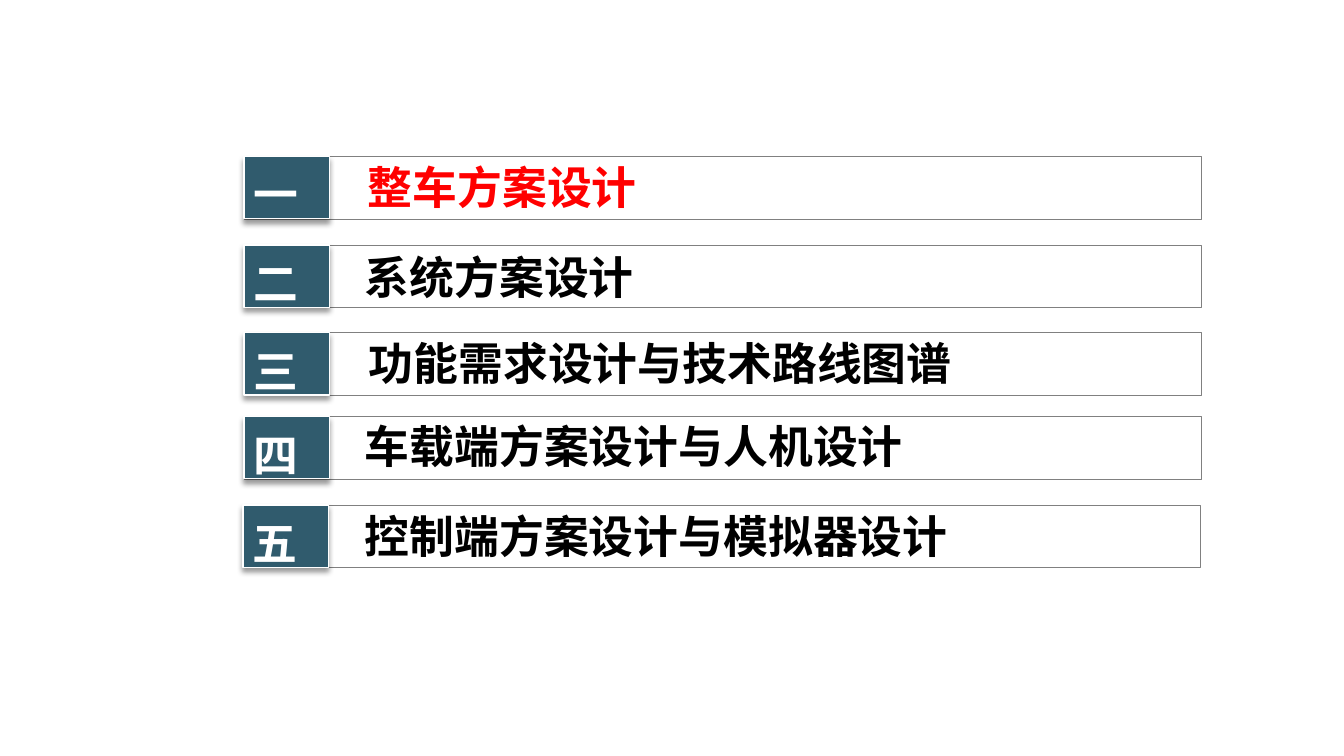
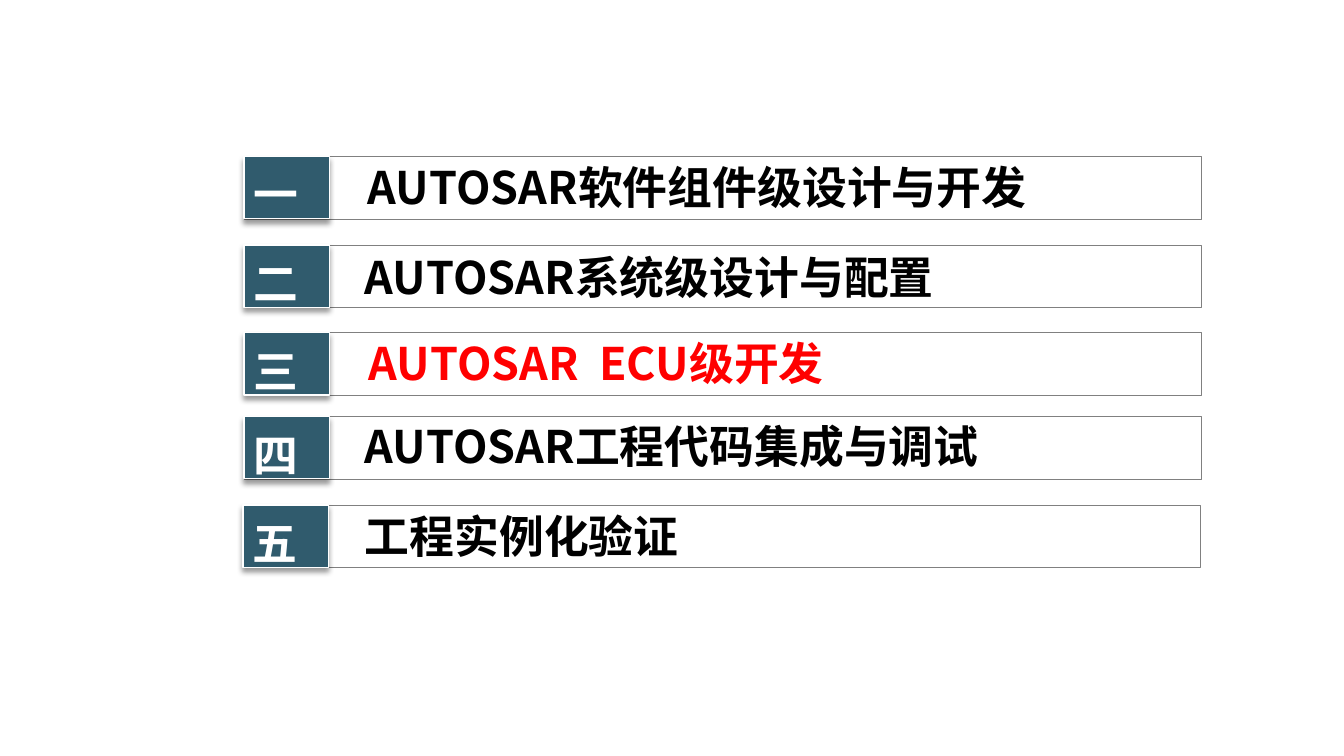
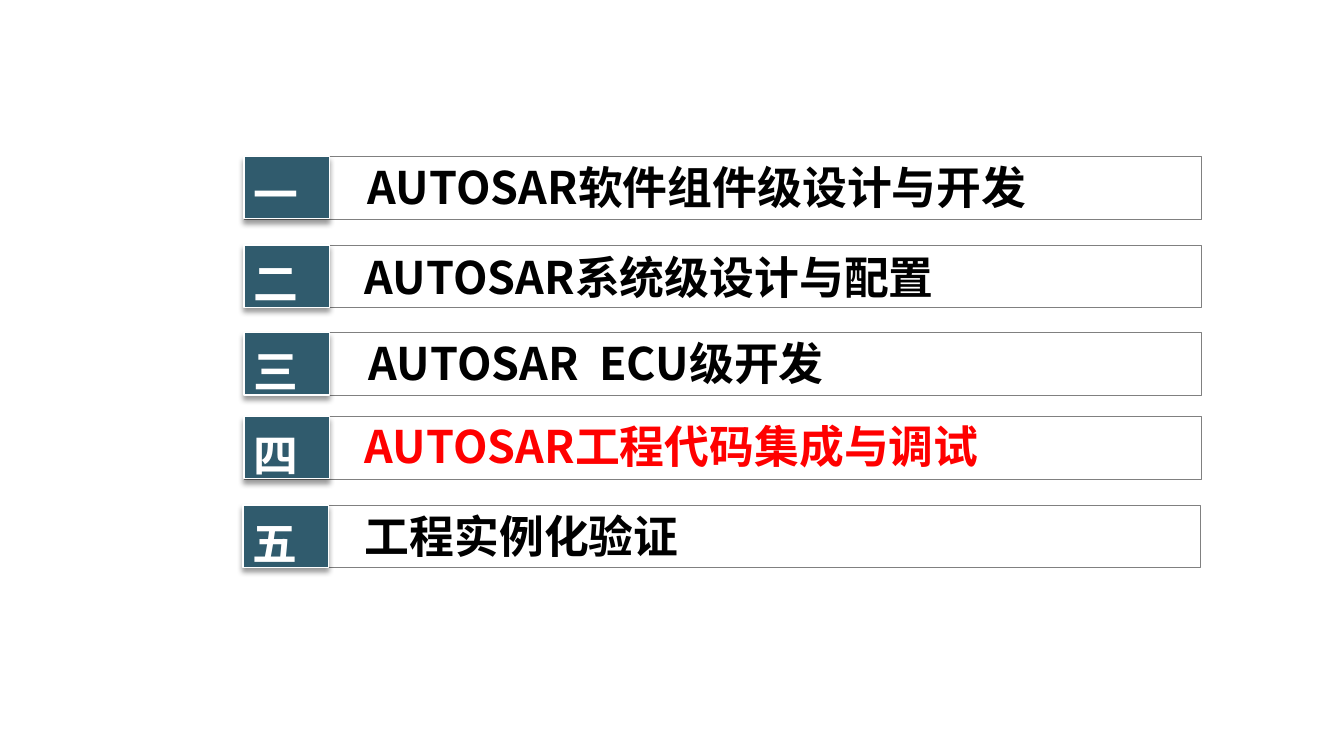
from collections import namedtuple

from lxml.etree import SubElement
from pptx import Presentation
from pptx.dml.color import RGBColor
from pptx.enum.shapes import MSO_SHAPE as Shape
from pptx.enum.text import MSO_ANCHOR as Anchor, MSO_AUTO_SIZE as AutoSize
from pptx.oxml.ns import qn
from pptx.util import Inches, Pt

TEAL = RGBColor(0x30, 0x5B, 0x6D)
GRAY = RGBColor(0x80, 0x80, 0x80)
WHITE = RGBColor(0xFF, 0xFF, 0xFF)
BLACK = RGBColor(0x00, 0x00, 0x00)
RED = RGBColor(0xFF, 0x00, 0x00)

FONT = "Noto Sans CJK SC"
TEXT_STYLE = {"name": FONT, "size": Pt(32), "bold": True}
FRAME_STYLE = {"word_wrap": True, "auto_size": AutoSize.SHAPE_TO_FIT_TEXT,
               "vertical_anchor": Anchor.TOP}

BAR_WIDTH, BAR_HEIGHT = 9.49, 0.62
TILE_WIDTH = 0.85
NUMERAL_WIDTH, NUMERAL_DROP = 0.53, 0.06
TEXT_HEIGHT = 0.64

Row = namedtuple("Row", "numeral left top label_left label_top label_width")
ROWS = [
    Row("一", 2.42, 1.55, 3.55, 1.54, 8.52),
    Row("二", 2.42, 2.43, 3.52, 2.43, 6.9),
    Row("三", 2.42, 3.3, 3.56, 3.28, 7.25),
    Row("四", 2.42, 4.13, 3.52, 4.11, 8.08),
    Row("五", 2.41, 5.01, 3.52, 5, 6.46),
]

VEHICLE_TOPICS = ["整车方案设计", "系统方案设计", "功能需求设计与技术路线图谱",
                  "车载端方案设计与人机设计", "控制端方案设计与模拟器设计"]
AUTOSAR_TOPICS = ["AUTOSAR软件组件级设计与开发", "AUTOSAR系统级设计与配置",
                  "AUTOSAR  ECU级开发", "AUTOSAR工程代码集成与调试",
                  "工程实例化验证"]
AGENDAS = [(VEHICLE_TOPICS, 0), (AUTOSAR_TOPICS, 2), (AUTOSAR_TOPICS, 3)]


def add_rectangle(group, left, top, width, line_color, line_width, fill=None):
    """Add a bar-high rectangle, hollow unless a fill is given."""
    box = group.shapes.add_shape(Shape.RECTANGLE, Inches(left), Inches(top),
                                 Inches(width), Inches(BAR_HEIGHT))
    if fill is None:
        box.fill.background()
    else:
        box.fill.solid()
        box.fill.fore_color.rgb = fill
    box.line.color.rgb = line_color
    box.line.width = Pt(line_width)
    box.shadow.inherit = False
    return box


def add_drop_shadow(box):
    """Give a shape a soft black shadow falling straight down."""
    effects = box._element.spPr.find(qn("a:effectLst"))
    shadow = SubElement(effects, qn("a:outerShdw"), blurRad=str(Pt(4)),
                        dist=str(Pt(3)), dir="5400000", rotWithShape="0")
    color = SubElement(shadow, qn("a:srgbClr"), val=str(BLACK))
    SubElement(color, qn("a:alpha"), val="40000")


def add_text(group, left, top, width, text, color):
    """Add one line of bold agenda text."""
    box = group.shapes.add_textbox(Inches(left), Inches(top),
                                   Inches(width), Inches(TEXT_HEIGHT))
    for name, value in FRAME_STYLE.items():
        setattr(box.text_frame, name, value)
    span = box.text_frame.paragraphs[0].add_run()
    span.text = text
    for name, value in TEXT_STYLE.items():
        setattr(span.font, name, value)
    span.font.color.rgb = color
    SubElement(span._r.get_or_add_rPr(), qn("a:ea"), typeface=FONT)


def add_agenda_row(page, row, topic, color):
    """Add a framed row with its numbered tile and topic."""
    group = page.shapes.add_group_shape()
    add_rectangle(group, row.left, row.top, BAR_WIDTH, GRAY, 0.25)
    tile = add_rectangle(group, row.left, row.top, TILE_WIDTH, WHITE, 1, TEAL)
    add_drop_shadow(tile)
    add_text(group, row.left, row.top + NUMERAL_DROP, NUMERAL_WIDTH,
             row.numeral, WHITE)
    add_text(group, row.label_left, row.label_top, row.label_width,
             topic, color)


def add_agenda_page(deck, topics, current):
    """Add an agenda slide with the current topic in red."""
    page = deck.slides.add_slide(deck.slide_layouts[6])
    for index, (row, topic) in enumerate(zip(ROWS, topics)):
        add_agenda_row(page, row, topic, RED if index == current else BLACK)


def main():
    """Build and save the deck."""
    deck = Presentation()
    deck.slide_width, deck.slide_height = Inches(13.33), Inches(7.5)
    for topics, current in AGENDAS:
        add_agenda_page(deck, topics, current)
    deck.save("out.pptx")


if __name__ == "__main__":
    main()
